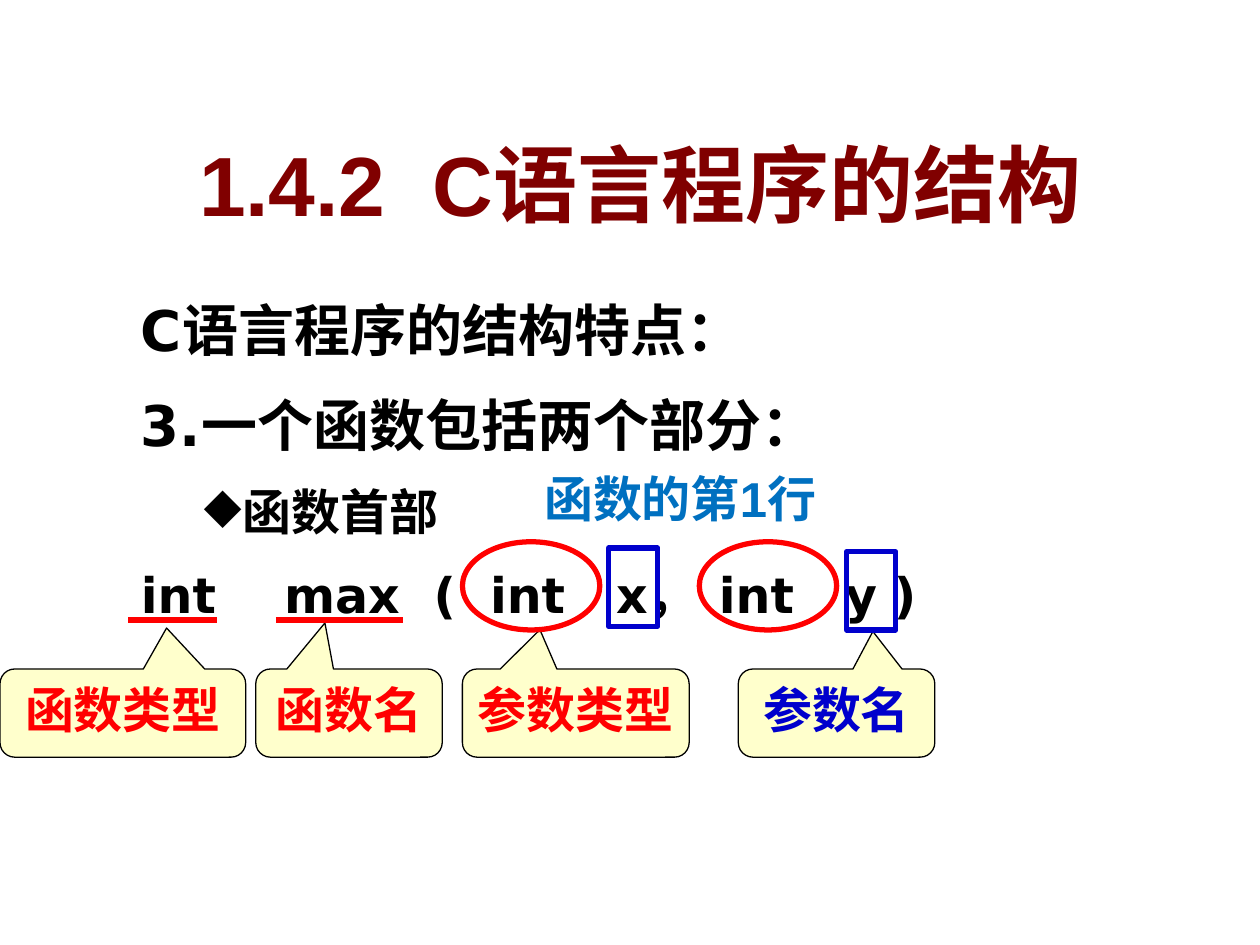
from lxml import etree
from pptx import Presentation
from pptx.dml.color import RGBColor
from pptx.enum.shapes import MSO_CONNECTOR, MSO_SHAPE
from pptx.enum.text import MSO_ANCHOR, PP_ALIGN
from pptx.oxml import parse_xml
from pptx.oxml.ns import nsdecls, qn
from pptx.util import Inches, Pt

CENTER, LEFT = PP_ALIGN.CENTER, PP_ALIGN.LEFT
TOP, MIDDLE, BOTTOM = MSO_ANCHOR.TOP, MSO_ANCHOR.MIDDLE, MSO_ANCHOR.BOTTOM
CALLOUT = MSO_SHAPE.ROUNDED_RECTANGULAR_CALLOUT
OVAL = MSO_SHAPE.FLOWCHART_CONNECTOR
RECTANGLE = MSO_SHAPE.RECTANGLE
STRAIGHT = MSO_CONNECTOR.STRAIGHT

HEADING_FONT, BODY_FONT = "Arial", "DejaVu Sans"
COLORS = {
    "title": "800000",
    "text": "000000",
    "hint": "0070C0",
    "red": "FF0000",
    "blue": "0000CC",
    "callout": "FFFFCC",
}


def color(name):
    return RGBColor.from_string(COLORS[name])


def set_font(font, name, size, color_name):
    font.name, font.size, font.bold = name, Pt(size), True
    font.color.rgb = color(color_name)


def add_text_frame(slide, left, top, width, height, anchor=TOP):
    box = slide.shapes.add_textbox(Inches(left), Inches(top),
                                   Inches(width), Inches(height))
    frame = box.text_frame
    frame.word_wrap = True
    frame.vertical_anchor = anchor
    return frame


def add_heading(slide, left, top, width, height):
    heading = add_text_frame(slide, left, top, width, height, BOTTOM).paragraphs[0]
    heading.alignment = CENTER
    run = heading.add_run()
    run.text = "1.4.2  C语言程序的结构"
    set_font(run.font, HEADING_FONT, 48, "title")
    # Soft grey shadow behind the letters
    shadow = parse_xml(
        f'<a:effectLst {nsdecls("a")}><a:outerShdw dist="38100" dir="2700000">'
        '<a:srgbClr val="C0C0C0"/></a:outerShdw></a:effectLst>')
    run.font.fill._xPr.find(qn("a:solidFill")).addnext(shadow)


def add_bullet(paragraph, symbol):
    properties = paragraph._p.get_or_add_pPr()
    bullet_color = etree.SubElement(properties, qn("a:buClr"))
    etree.SubElement(bullet_color, qn("a:srgbClr")).set("val", COLORS["text"])
    etree.SubElement(properties, qn("a:buChar")).set("char", symbol)


def add_outline(slide, left, top, width, height):
    # Text, size, level, left margin, hanging indent, space before
    lines = [
        ("C语言程序的结构特点：", 32, 0, 0.38, 0.38, 0),
        ("3.一个函数包括两个部分：", 32, 0, 0.38, 0.38, 8),
        ("函数首部", 28, 1, 0.81, 0.31, 7),
        ("int    max  (  int   x，  int   y )", 28, 0, 0.38, 0.38, 7),
    ]
    frame = add_text_frame(slide, left, top, width, height)
    for index, (text, size, level, margin, hanging, before) in enumerate(lines):
        paragraph = frame.add_paragraph() if index else frame.paragraphs[0]
        paragraph.text = text
        paragraph.level = level
        paragraph.line_spacing = 1.2
        paragraph.space_before = Pt(before)
        properties = paragraph._p.get_or_add_pPr()
        properties.set("marL", str(Inches(margin)))
        properties.set("indent", str(-Inches(hanging)))
        if level:
            add_bullet(paragraph, "◆")
        set_font(paragraph.font, BODY_FONT, size, "text")


def add_hint(slide, left, top, width, height):
    hint = add_text_frame(slide, left, top, width, height).paragraphs[0]
    hint.text = "函数的第1行"
    hint.alignment = LEFT
    set_font(hint.font, HEADING_FONT, 28, "hint")


def add_underline(slide, left, right, top):
    underline = slide.shapes.add_connector(STRAIGHT, Inches(left), Inches(top),
                                           Inches(right), Inches(top))
    underline.line.color.rgb = color("red")
    underline.line.width = Pt(3)
    etree.SubElement(underline._element.spPr, qn("a:effectLst"))


def add_frame(slide, kind, left, top, width, height, color_name):
    frame = slide.shapes.add_shape(kind, Inches(left), Inches(top),
                                   Inches(width), Inches(height))
    frame.shadow.inherit = False
    frame.fill.background()
    frame.line.color.rgb = color(color_name)
    frame.line.width = Pt(3)


def add_marks(slide, left, top):
    # Function type and function name
    for start, end in [(0, 0.7), (1.17, 2.18)]:
        add_underline(slide, left + start, left + end, top + 0.62)
    # Parameter types
    for offset in (2.65, 4.53):
        add_frame(slide, OVAL, left + offset, top, 1.09, 0.7, "red")
    # Parameter names
    for offset, drop in [(3.81, 0.05), (5.7, 0.08)]:
        add_frame(slide, RECTANGLE, left + offset, top + drop, 0.39, 0.62, "blue")


def add_callouts(slide, left, top, height):
    # Label, offset, width, pointer tip, text colour
    callouts = [
        ("函数类型", 0, 1.95, (0.178, -0.965), "red"),
        ("函数名", 2.03, 1.48, (-0.129, -1.023), "red"),
        ("参数类型", 3.67, 1.8, (-0.158, -0.946), "red"),
        ("参数名", 5.86, 1.56, (0.185, -0.926), "blue"),
    ]
    for text, offset, width, tip, color_name in callouts:
        callout = slide.shapes.add_shape(CALLOUT, Inches(left + offset), Inches(top),
                                         Inches(width), Inches(height))
        callout.shadow.inherit = False
        callout.adjustments[0], callout.adjustments[1] = tip
        callout.fill.solid()
        callout.fill.fore_color.rgb = color("callout")
        callout.line.color.rgb = color("text")
        callout.line.width = Pt(0.75)
        frame = callout.text_frame
        frame.word_wrap = False
        frame.vertical_anchor = TOP
        label = frame.paragraphs[0]
        label.text = text
        label.alignment = CENTER
        set_font(label.font, HEADING_FONT, 28, color_name)


def main():
    presentation = Presentation()
    presentation.slide_width, presentation.slide_height = Inches(10), Inches(7.5)
    slide = presentation.slides.add_slide(presentation.slide_layouts[6])
    add_heading(slide, 0.47, 0.99, 9.22, 0.91)
    add_outline(slide, 1.02, 2.19, 8.28, 3.05)
    add_hint(slide, 4.22, 3.67, 2.81, 0.57)
    add_callouts(slide, 0, 5.31, 0.7)
    add_marks(slide, 1.02, 4.3)
    presentation.save("out.pptx")


if __name__ == "__main__":
    main()
